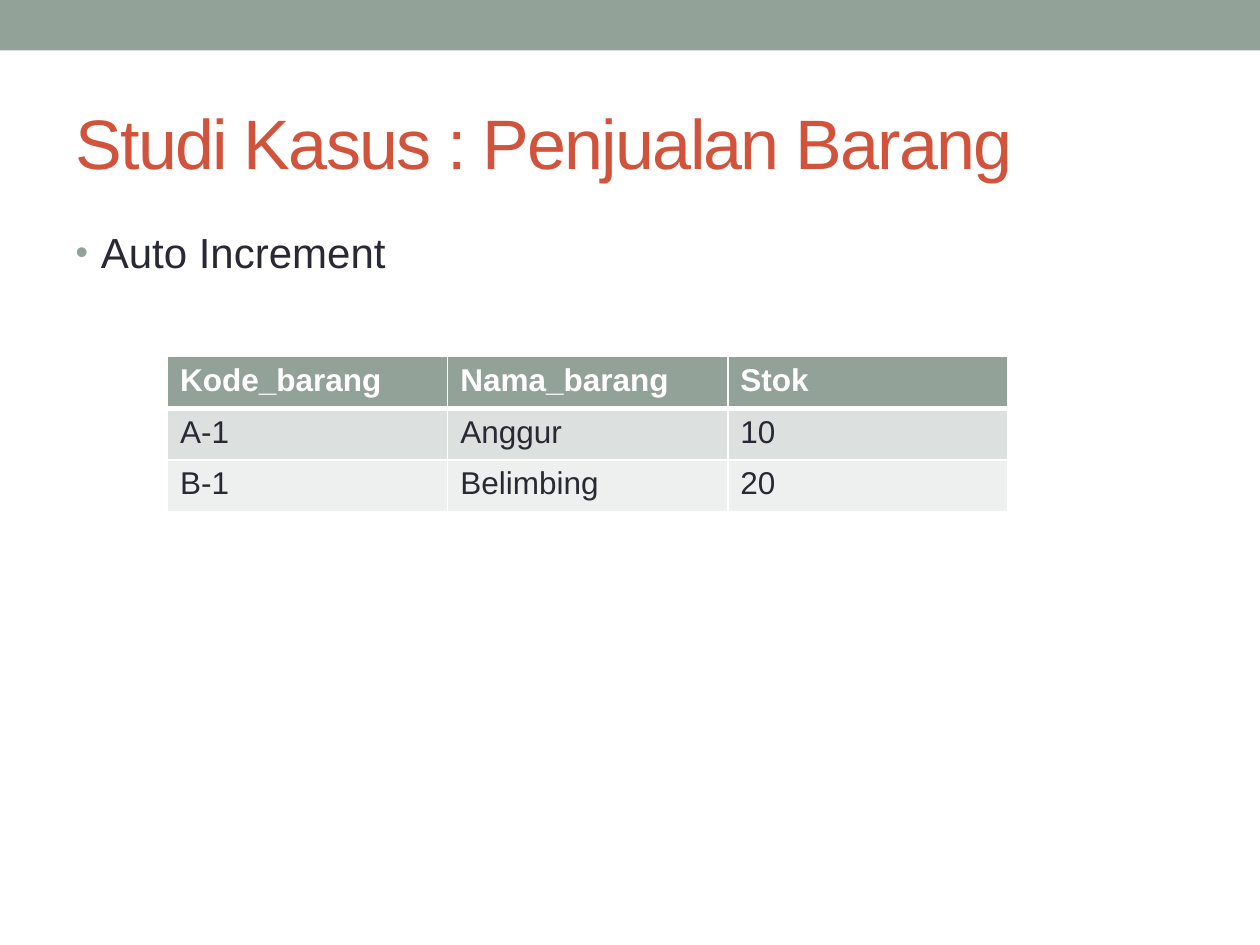
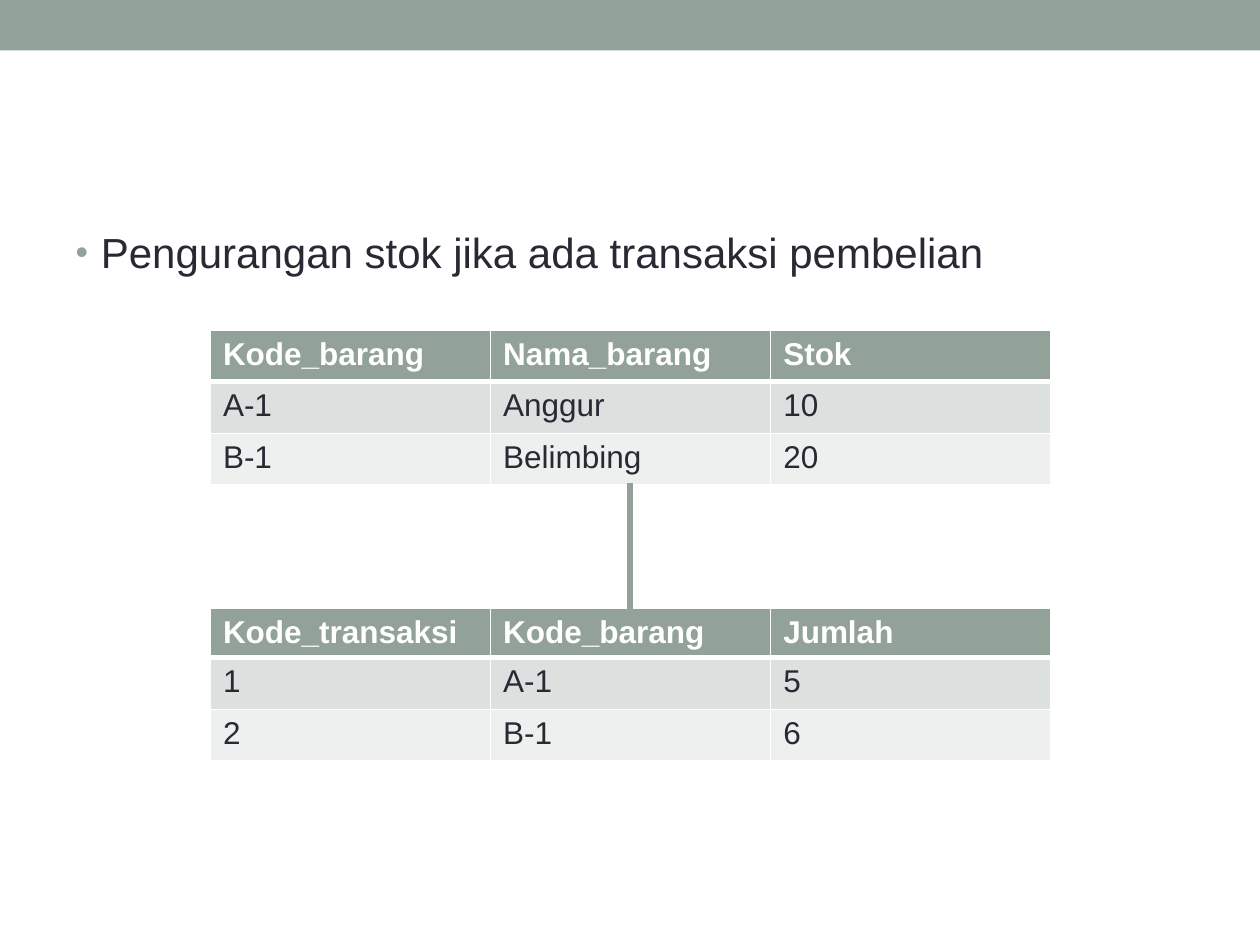
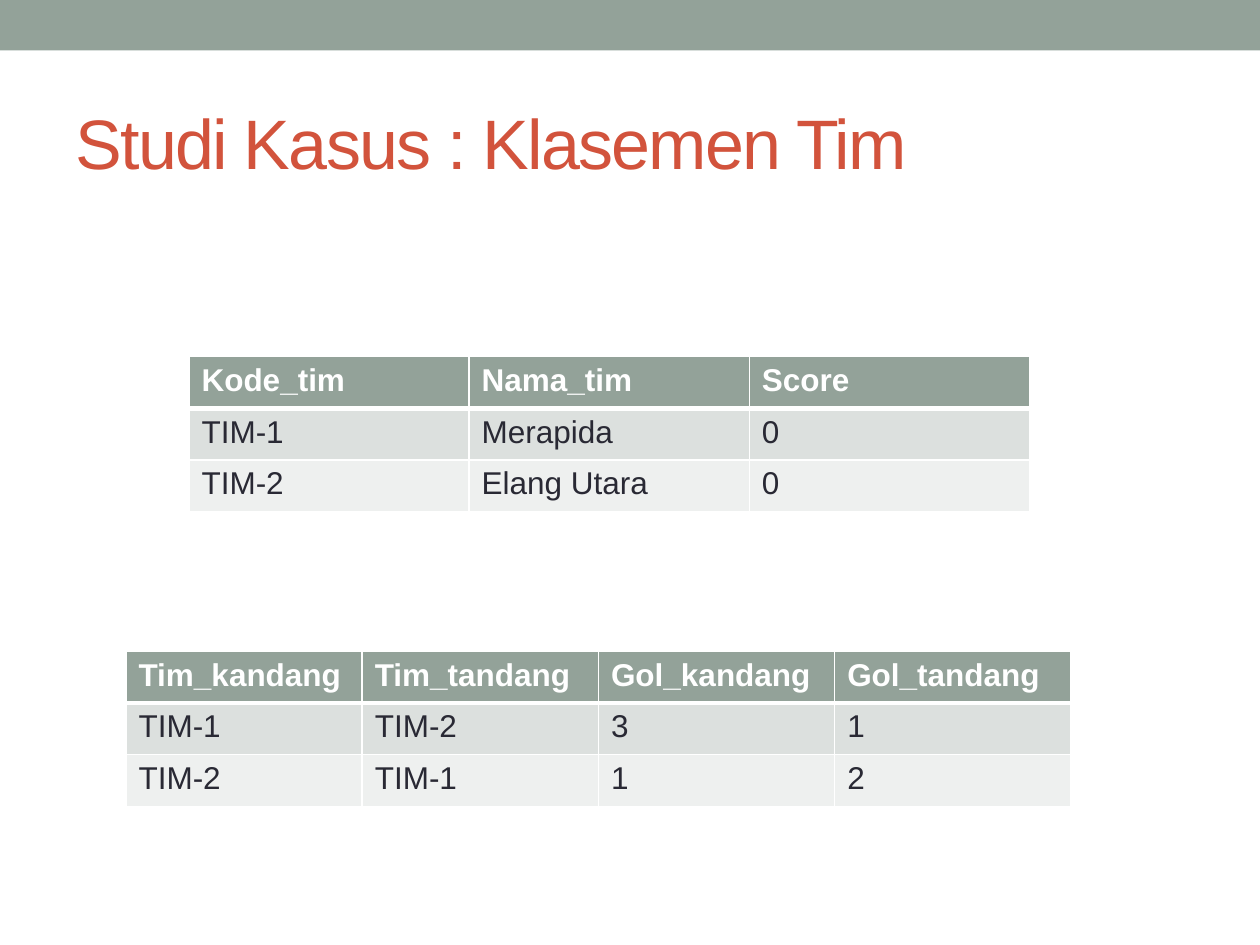
from lxml import etree
from pptx import Presentation
from pptx import util as u
from pptx.dml.color import RGBColor
from pptx.enum import shapes, text
from pptx.oxml.ns import qn

SAGE = RGBColor(0x93, 0xA2, 0x99)
SAGE_MID = RGBColor(0xDC, 0xE0, 0xDE)
SAGE_PALE = RGBColor(0xEE, 0xF0, 0xEF)
RUST = RGBColor(0xD2, 0x53, 0x3C)
INK = RGBColor(0x29, 0x29, 0x34)
WHITE = RGBColor(0xFF, 0xFF, 0xFF)
FONT = "Arial"
ROW_HEIGHT = 0.41
MIDDLE = 5

STOCK = [["Kode_barang", "Nama_barang", "Stok"],
         ["A-1", "Anggur", "10"],
         ["B-1", "Belimbing", "20"]]
SALES = [["Kode_transaksi", "Kode_barang", "Jumlah"],
         ["1", "A-1", "5"],
         ["2", "B-1", "6"]]
TEAMS = [["Kode_tim", "Nama_tim", "Score"],
         ["TIM-1", "Merapida", "0"],
         ["TIM-2", "Elang Utara", "0"]]
MATCHES = [["Tim_kandang", "Tim_tandang", "Gol_kandang", "Gol_tandang"],
           ["TIM-1", "TIM-2", "3", "1"],
           ["TIM-2", "TIM-1", "1", "2"]]

# Each table: rows, left, top, width, header height
# Each link: top and bottom of a vertical line in the middle of the slide
SLIDES = [
    {"title": "Studi Kasus : Penjualan Barang",
     "point": "Auto Increment",
     "tables": [(STOCK, 1.33, 2.83, 6.67, ROW_HEIGHT)]},
    {"point": "Pengurangan stok jika ada transaksi pembelian",
     "tables": [(STOCK, 1.67, 2.62, 6.67, ROW_HEIGHT),
                (SALES, 1.67, 4.83, 6.67, 0.39)],
     "link": (3.83, 4.83)},
    {"title": "Studi Kasus : Klasemen Tim",
     "tables": [(TEAMS, 1.5, 2.83, 6.67, ROW_HEIGHT),
                (MATCHES, 1, 5.17, 7.5, ROW_HEIGHT)]},
]


def write(frame, words, size=18, color=INK, bold=False, tracking=0):
    """Put one formatted, left-aligned line in a text frame and return its paragraph."""
    paragraph = frame.paragraphs[0]
    paragraph.alignment = text.PP_ALIGN.LEFT
    run = paragraph.add_run()
    run.text = words
    run.font.name = FONT
    run.font.size = u.Pt(size)
    run.font.bold = bold
    run.font.color.rgb = color
    if tracking:
        run.font._element.set("spc", str(tracking * 100))
    return paragraph


def draw_table(slide, rows, left, top, width, header_height):
    """Draw a table with a dark header, two row tints and white rules."""
    heights = [header_height] + [ROW_HEIGHT] * (len(rows) - 1)
    table = slide.shapes.add_table(
        len(rows), len(rows[0]), u.Inches(left), u.Inches(top),
        u.Inches(width), u.Inches(sum(heights))).table
    for column in table.columns:
        column.width = u.Inches(width / len(rows[0]))
    for r, values in enumerate(rows):
        table.rows[r].height = u.Inches(heights[r])
        header = r == 0
        tint = SAGE if header else (SAGE_PALE, SAGE_MID)[r % 2]
        rules = {"lnL": 1, "lnR": 1, "lnT": 3 if r == 1 else 1, "lnB": 3 if header else 1}
        for c, value in enumerate(values):
            cell = table.cell(r, c)
            write(cell.text_frame, value, color=WHITE if header else INK, bold=header)
            properties = cell._tc.get_or_add_tcPr()
            for side, weight in rules.items():
                rule = etree.SubElement(properties, qn("a:" + side), w=str(u.Pt(weight)))
                paint = etree.SubElement(rule, qn("a:solidFill"))
                etree.SubElement(paint, qn("a:srgbClr"), val=str(WHITE))
            cell.fill.solid()
            cell.fill.fore_color.rgb = tint


prs = Presentation()
prs.slide_width, prs.slide_height = u.Inches(10), u.Inches(7.5)

for content in SLIDES:
    slide = prs.slides.add_slide(prs.slide_layouts[1])
    heading, body = slide.placeholders

    band = slide.shapes.add_shape(
        shapes.MSO_SHAPE.RECTANGLE, 0, 0, prs.slide_width, u.Inches(0.4))
    band.shadow.inherit = False
    band.fill.solid()
    band.fill.fore_color.rgb = SAGE
    band.line.fill.background()

    if "title" in content:
        heading.left, heading.top = u.Inches(0.5), u.Inches(0.58)
        heading.width, heading.height = u.Inches(9), u.Inches(1.08)
        heading.text_frame.vertical_anchor = text.MSO_ANCHOR.MIDDLE
        heading.text_frame.auto_size = text.MSO_AUTO_SIZE.NONE
        write(heading.text_frame, content["title"], size=40, color=RUST, tracking=-1)
    else:
        heading.element.getparent().remove(heading.element)

    if "point" in content:
        body.left, body.top = u.Inches(0.5), u.Inches(1.75)
        body.width, body.height = u.Inches(9), u.Inches(5.33)
        body.text_frame.auto_size = text.MSO_AUTO_SIZE.NONE
        point = write(body.text_frame, content["point"], size=24)
        layout = point._p.get_or_add_pPr()
        layout.set("marL", str(u.Inches(0.2)))
        layout.set("indent", str(u.Inches(-0.2)))
        space = etree.SubElement(layout, qn("a:spcBef"))
        etree.SubElement(space, qn("a:spcPct"), val="20000")
        bullet_color = etree.SubElement(layout, qn("a:buClr"))
        etree.SubElement(bullet_color, qn("a:srgbClr"), val=str(SAGE))
        etree.SubElement(layout, qn("a:buSzPct"), val="85000")
        etree.SubElement(layout, qn("a:buFont"), typeface=FONT)
        etree.SubElement(layout, qn("a:buChar"), char="\u2022")
    else:
        body.element.getparent().remove(body.element)

    for table in content["tables"]:
        draw_table(slide, *table)

    if "link" in content:
        start, end = content["link"]
        link = slide.shapes.add_connector(
            shapes.MSO_CONNECTOR.STRAIGHT, u.Inches(MIDDLE), u.Inches(start),
            u.Inches(MIDDLE), u.Inches(end))
        link.line.color.rgb = SAGE
        link.line.width = u.Pt(3)
        etree.SubElement(link._element.spPr, qn("a:effectLst"))

prs.save("out.pptx")
